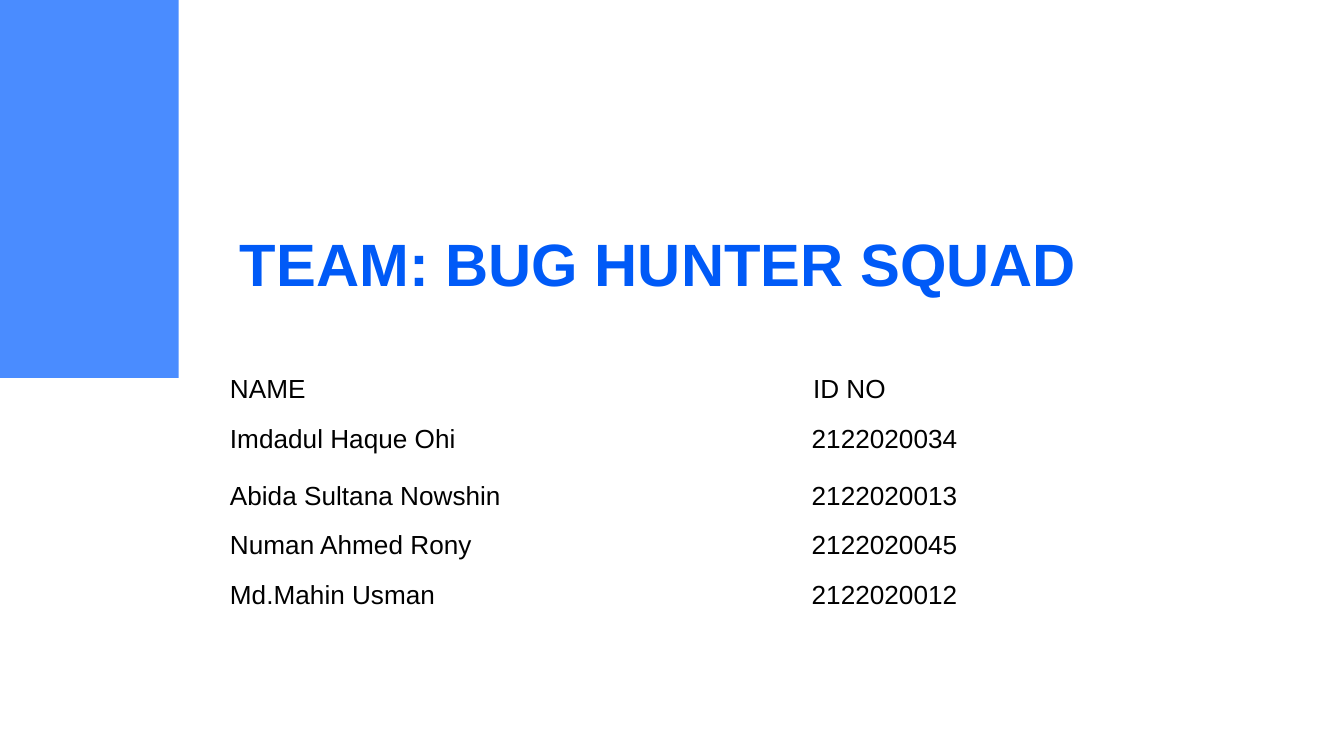
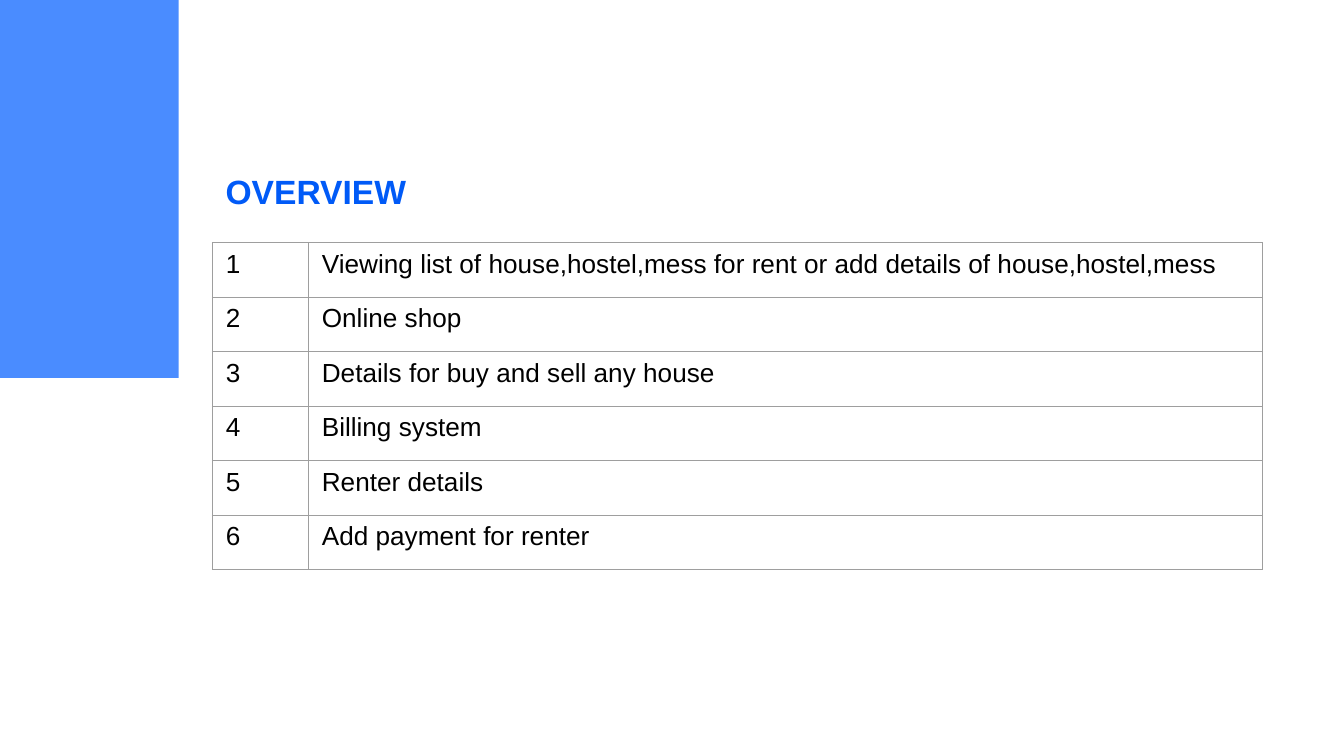
from lxml.etree import SubElement as Sub
from pptx import Presentation
from pptx.dml.color import RGBColor as RGB
from pptx.enum.shapes import MSO_SHAPE as SHAPE
from pptx.enum.text import MSO_ANCHOR as ANCHOR, PP_ALIGN as ALIGN
from pptx.oxml.ns import qn
from pptx.util import Pt

HUE = {"band": "4A8CFF", "title": "005AF7", "text": "000000", "rule": "9E9E9E"}
FONT = "Arial"
PAD = 7.2


def write(frame, text, size=14, hue="text", bold=False, align=ALIGN.LEFT):
    para = frame.paragraphs[0]
    para.alignment = align
    run = para.add_run()
    run.text = text
    font = run.font
    font.name, font.size, font.bold = FONT, Pt(size), bold
    font.color.rgb = RGB.from_string(HUE[hue])


def grid(slide, rows, left, top, widths, heights):
    """Add a plain table without fills and return it."""
    table = slide.shapes.add_table(
        len(rows), len(widths), Pt(left), Pt(top),
        Pt(sum(widths)), Pt(sum(heights))).table
    table.first_row = table.horz_banding = False
    for col, width in zip(table.columns, widths):
        col.width = Pt(width)
    for row, height in zip(table.rows, heights):
        row.height = Pt(height)
    for cell in table.iter_cells():
        cell.fill.background()
        cell.margin_left = cell.margin_right = Pt(PAD)
        cell.margin_top = cell.margin_bottom = Pt(3.6)
    return table


deck = Presentation()
deck.slide_width, deck.slide_height = Pt(720), Pt(405)

# Shared band and title style
heads = [
    ("TEAM: BUG HUNTER SQUAD", 32, (86.4, 5.8, 532.8, 161.2),
     ALIGN.CENTER, ANCHOR.BOTTOM, PAD),
    ("OVERVIEW", 18, (113.8, 87.8, 113, 29), ALIGN.LEFT, ANCHOR.TOP, 3.6),
]
for title, size, place, align, anchor, pad in heads:
    slide = deck.slides.add_slide(deck.slide_layouts[6])
    band = slide.shapes.add_shape(SHAPE.RECTANGLE, 0, 0, Pt(95.8), Pt(202.5))
    band.shadow.inherit = False
    band.fill.solid()
    band.fill.fore_color.rgb = RGB.from_string(HUE["band"])
    band.line.fill.background()
    frame = slide.shapes.add_textbox(*map(Pt, place)).text_frame
    frame.word_wrap = True
    frame.vertical_anchor = anchor
    frame.margin_left = frame.margin_right = Pt(PAD)
    frame.margin_top = frame.margin_bottom = Pt(pad)
    write(frame, title, size, "title", True, align)

team, plan = deck.slides

# Team members
crew = [
    ("NAME", "ID NO"),
    ("Imdadul Haque Ohi", "2122020034"),
    ("Abida Sultana Nowshin", "2122020013"),
    ("Numan Ahmed Rony", "2122020045"),
    ("Md.Mahin Usman", "2122020012"),
]
table = grid(team, crew, 116, 197.3, [238.6] * 2, [26.6, 30.4] + [26.6] * 3)
for i, (name, code) in enumerate(crew):
    write(table.cell(i, 0).text_frame, name)
    write(table.cell(i, 1).text_frame, code,
          align=ALIGN.CENTER if i else ALIGN.LEFT)
table.cell(0, 1).margin_left = Pt(81)

# Feature overview
items = [
    "Viewing list of house,hostel,mess for rent or add details of house,hostel,mess",
    "Online shop",
    "Details for buy and sell any house",
    "Billing system",
    "Renter details",
    "Add payment for renter",
]
table = grid(plan, items, 113.8, 130, [51.4, 511], [29.2] * len(items))
for i, item in enumerate(items):
    write(table.cell(i, 0).text_frame, str(i + 1))
    write(table.cell(i, 1).text_frame, item)
for cell in table.iter_cells():
    props = cell._tc.get_or_add_tcPr()
    for n, side in enumerate(("a:lnL", "a:lnR", "a:lnT", "a:lnB")):
        line = Sub(props, qn(side), w=str(Pt(0.75)))
        Sub(Sub(line, qn("a:solidFill")), qn("a:srgbClr"), val=HUE["rule"])
        props.insert(n, line)

deck.save("out.pptx")
